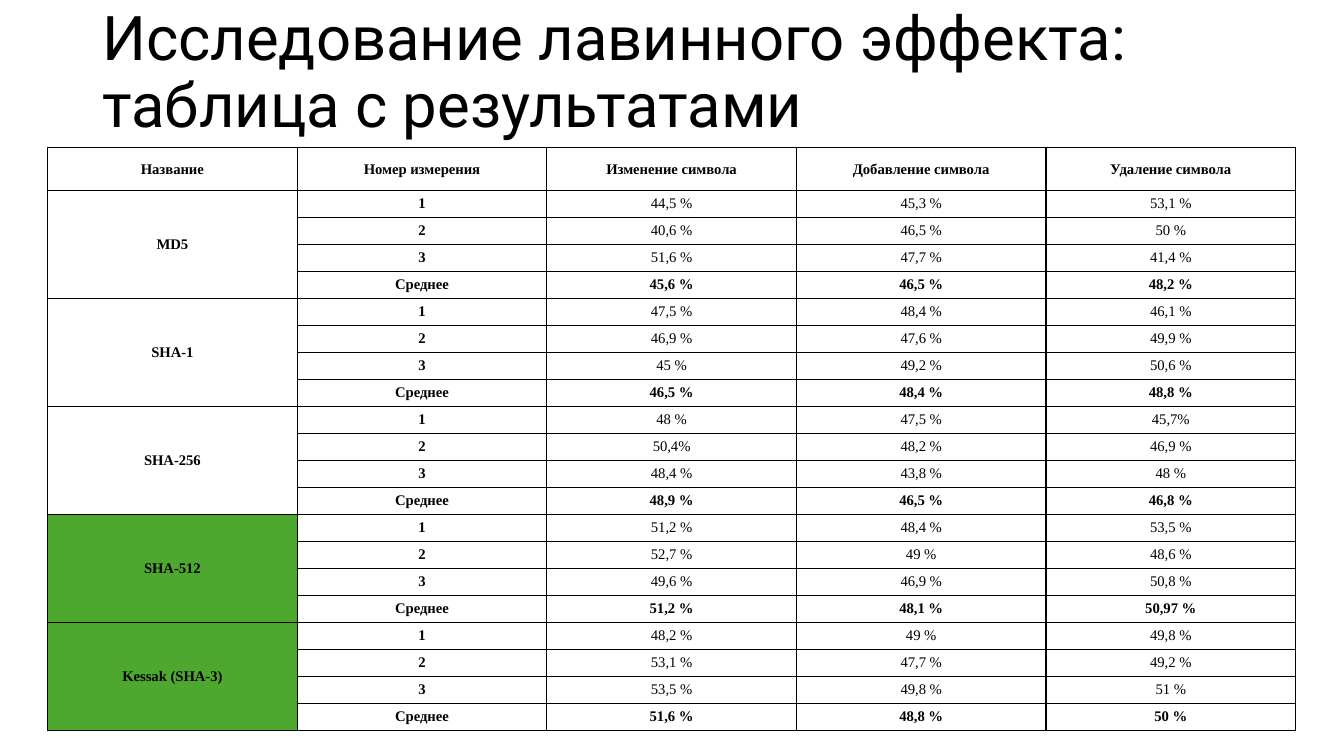
from lxml import etree
from pptx import Presentation, util as u
from pptx.dml import color
from pptx.enum import text
from pptx.oxml import ns

AVERAGE = "Среднее"
HEADINGS = ["Название", "Номер измерения", "Изменение символа",
            "Добавление символа", "Удаление символа"]
MEASUREMENTS = ["1", "2", "3", AVERAGE]
RESULTS = {
    "MD5": [("44,5 %", "45,3 %", "53,1 %"), ("40,6 %", "46,5 %", "50 %"),
            ("51,6 %", "47,7 %", "41,4 %"), ("45,6 %", "46,5 %", "48,2 %")],
    "SHA-1": [("47,5 %", "48,4 %", "46,1 %"), ("46,9 %", "47,6 %", "49,9 %"),
              ("45 %", "49,2 %", "50,6 %"), ("46,5 %", "48,4 %", "48,8 %")],
    "SHA-256": [("48 %", "47,5 %", "45,7%"), ("50,4%", "48,2 %", "46,9 %"),
                ("48,4 %", "43,8 %", "48 %"), ("48,9 %", "46,5 %", "46,8 %")],
    "SHA-512": [("51,2 %", "48,4 %", "53,5 %"), ("52,7 %", "49 %", "48,6 %"),
                ("49,6 %", "46,9 %", "50,8 %"), ("51,2 %", "48,1 %", "50,97 %")],
    "Kessak (SHA-3)": [("48,2 %", "49 %", "49,8 %"), ("53,1 %", "47,7 %", "49,2 %"),
                       ("53,5 %", "49,8 %", "51 %"), ("51,6 %", "48,8 %", "50 %")],
}
HIGHLIGHTED = ("SHA-512", "Kessak (SHA-3)")


def rgb(value):
    return color.RGBColor.from_string(value)


class ResultsPage:
    ink = "000000"
    paper = "FFFFFF"
    green = "4EA72E"
    title_font = "Roboto"
    table_font = "Times New Roman"
    column_width = 6.29
    header_height = 1.08
    row_height = 0.68

    def __init__(self, deck):
        self.page = deck.slides.add_slide(deck.slide_layouts[6])

    def add_span(self, para, words, font, size, bold=False):
        span = para.add_run()
        span.text = words
        span.font.name = font
        span.font.size = u.Pt(size)
        span.font.bold = bold
        span.font.color.rgb = rgb(self.ink)

    def add_title(self, words, left, top, width, height):
        box = self.page.shapes.add_textbox(u.Cm(left), u.Cm(top), u.Cm(width), u.Cm(height))
        frame = box.text_frame
        frame.word_wrap = True
        frame.vertical_anchor = text.MSO_ANCHOR.MIDDLE
        para = frame.paragraphs[0]
        para.line_spacing = 0.9
        self.add_span(para, words, self.title_font, 44)

    def add_borders(self, cell):
        properties = cell._tc.get_or_add_tcPr()
        for side in ("a:lnL", "a:lnR", "a:lnT", "a:lnB"):
            line = etree.SubElement(properties, ns.qn(side), w=str(u.Pt(1)))
            fill = etree.SubElement(line, ns.qn("a:solidFill"))
            etree.SubElement(fill, ns.qn("a:srgbClr"), val=self.ink)

    def fill_cell(self, cell, words, bold, fill):
        self.add_borders(cell)
        cell.fill.solid()
        cell.fill.fore_color.rgb = rgb(fill)
        cell.margin_left = cell.margin_right = cell.margin_top = cell.margin_bottom = 0
        cell.vertical_anchor = text.MSO_ANCHOR.MIDDLE
        para = cell.text_frame.paragraphs[0]
        para.alignment = text.PP_ALIGN.CENTER
        if words:
            self.add_span(para, words, self.table_font, 10.5, bold)
        else:
            para.font.size = u.Pt(10.5)

    def add_results(self, left, top):
        group_size = len(MEASUREMENTS)
        row_count = 1 + group_size * len(RESULTS)
        width = self.column_width * len(HEADINGS)
        height = self.header_height + self.row_height * (row_count - 1)
        table = self.page.shapes.add_table(
            row_count, len(HEADINGS), u.Cm(left), u.Cm(top), u.Cm(width), u.Cm(height)).table
        table.first_row = table.horz_banding = False
        for column in table.columns:
            column.width = u.Cm(self.column_width)
        for index, row in enumerate(table.rows):
            row.height = u.Cm(self.row_height if index else self.header_height)
        for column, heading in enumerate(HEADINGS):
            self.fill_cell(table.cell(0, column), heading, True, self.paper)
        for group, (name, values) in enumerate(RESULTS.items()):
            first = 1 + group * group_size
            name_fill = self.green if name in HIGHLIGHTED else self.paper
            for offset, (measurement, shares) in enumerate(zip(MEASUREMENTS, values)):
                entries = ("" if offset else name, measurement, *shares)
                for column, words in enumerate(entries):
                    bold = column < 2 or measurement == AVERAGE
                    fill = self.paper if column else name_fill
                    self.fill_cell(table.cell(first + offset, column), words, bold, fill)
            table.cell(first, 0).merge(table.cell(first + group_size - 1, 0))


def main():
    deck = Presentation()
    deck.slide_width = u.Cm(33.87)
    deck.slide_height = u.Cm(19.05)
    page = ResultsPage(deck)
    page.add_title("Исследование лавинного эффекта: таблица с результатами",
                   2.33, 0.03, 29.21, 3.68)
    page.add_results(1.2, 3.72)
    deck.save("out.pptx")


if __name__ == "__main__":
    main()
